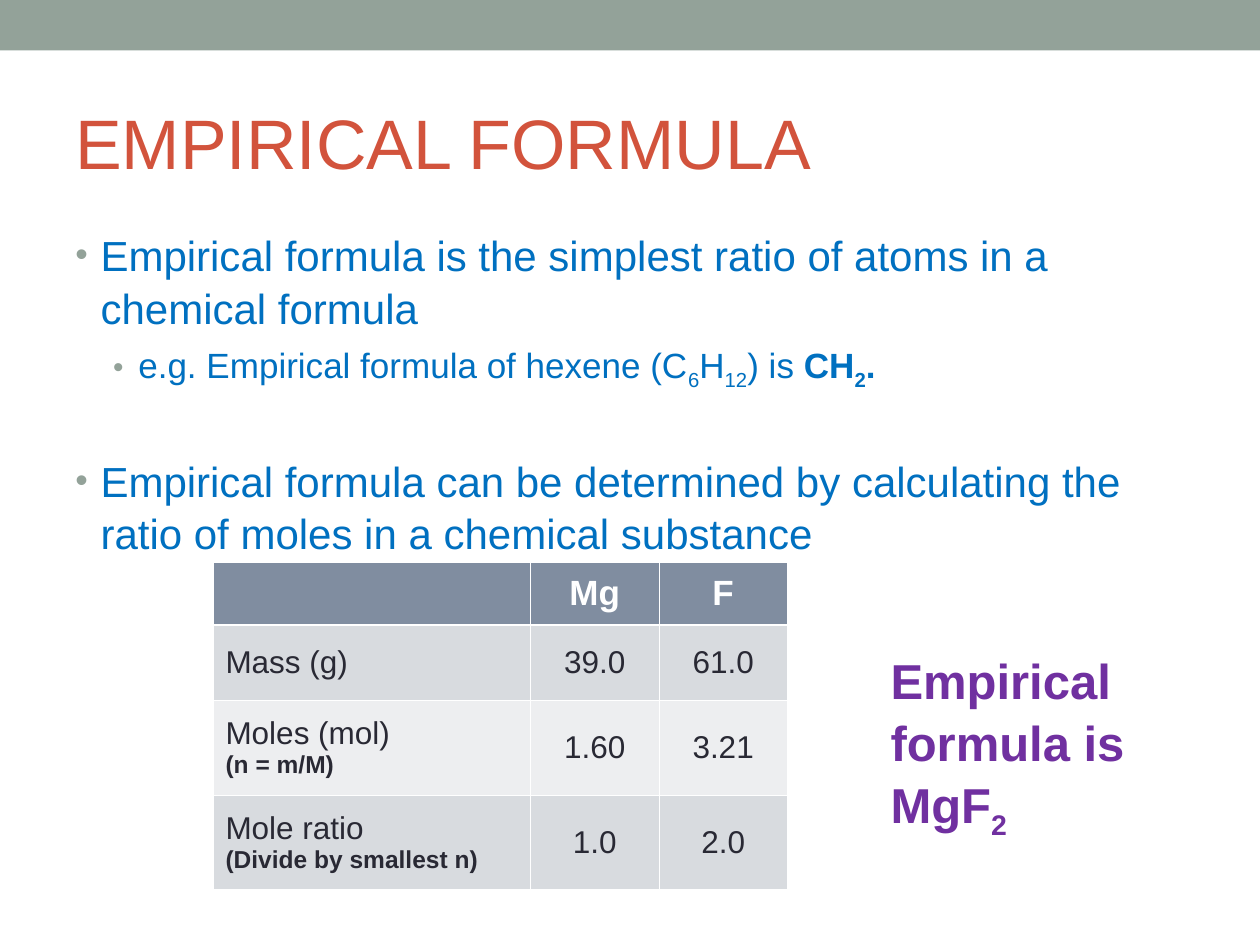
from lxml import etree
from pptx import Presentation, util as u
from pptx.dml.color import RGBColor
from pptx.enum import shapes, text
from pptx.oxml import ns

COLORS = {
    "band": "93A299", "title": "D2533C", "body": "0070C0", "answer": "7030A0",
    "header": "808DA0", "odd_row": "D8DBDF", "even_row": "EDEEF0",
    "cell": "292934", "white": "FFFFFF",
}
SUB = {"sub": True}
BOLD = {"bold": True}
BOLD_SUB = {"bold": True, "sub": True}


def rgb(name):
    return RGBColor.from_string(COLORS[name])


def add_xml(parent, tag, **attributes):
    return etree.SubElement(parent, ns.qn(tag), attributes)


class SlideBuilder:
    font = "Arial"

    def __init__(self, slide):
        self.slide = slide

    def band(self, left, top, width, height, color):
        bar = self.slide.shapes.add_shape(
            shapes.MSO_SHAPE.RECTANGLE, *map(u.Inches, (left, top, width, height)))
        bar.shadow.inherit = False
        bar.fill.solid()
        bar.fill.fore_color.rgb = rgb(color)
        bar.line.fill.background()

    def runs(self, paragraph, parts, size, color, **base):
        """Each part is a (wording, format) pair."""
        for wording, extra in parts:
            run = paragraph.add_run()
            run.text = wording
            style = {"name": self.font, "size": u.Pt(size), "bold": False, **base, **extra}
            if style.pop("sub", False):
                run._r.get_or_add_rPr().set("baseline", "-25000")
            for key, value in style.items():
                setattr(run.font, key, value)
            run.font.color.rgb = rgb(color)

    def bullet(self, paragraph, indent):
        props = paragraph._p.get_or_add_pPr()
        props.set("marL", str(u.Inches(indent)))
        props.set("indent", str(u.Inches(-0.2)))
        add_xml(add_xml(props, "a:buClr"), "a:srgbClr", val=COLORS["band"])
        add_xml(props, "a:buSzPct", val="85000")
        add_xml(props, "a:buFont", typeface=self.font)
        add_xml(props, "a:buChar", char="•")

    def text_box(self, left, top, width, height, anchor=text.MSO_ANCHOR.TOP):
        box = self.slide.shapes.add_textbox(*map(u.Inches, (left, top, width, height)))
        frame = box.text_frame
        frame.word_wrap = True
        frame.vertical_anchor = anchor
        return frame

    def bullet_list(self, frame, items):
        for i, (level, gap, size, parts) in enumerate(items):
            item = frame.add_paragraph() if i else frame.paragraphs[0]
            item.level = level
            item.line_spacing = 1.05
            item.space_before = u.Pt(gap)
            self.bullet(item, (0.2, 0.5)[level])
            self.runs(item, parts, size, "body")

    def borders(self, cell, **widths):
        props = cell._tc.get_or_add_tcPr()
        for i, side in enumerate("LRTB"):
            line = etree.Element(ns.qn(f"a:ln{side}"), w=str(u.Pt(widths.get(side, 0.45))))
            add_xml(add_xml(line, "a:solidFill"), "a:srgbClr", val=COLORS["white"])
            props.insert(i, line)

    def table(self, left, top, widths, heights, rows):
        grid = self.slide.shapes.add_table(
            len(rows), len(widths), u.Inches(left), u.Inches(top),
            u.Inches(sum(widths)), u.Inches(sum(heights))).table
        for column, width in zip(grid.columns, widths):
            column.width = u.Inches(width)
        for r, (height, row) in enumerate(zip(heights, rows)):
            grid.rows[r].height = u.Inches(height)
            fill = "header" if r == 0 else "odd_row" if r % 2 else "even_row"
            for c, lines in enumerate(row):
                cell = grid.cell(r, c)
                cell.vertical_anchor = text.MSO_ANCHOR.MIDDLE
                cell.fill.solid()
                cell.fill.fore_color.rgb = rgb(fill)
                # Heavier rule between the header and the first row
                self.borders(cell, **{0: {"B": 1.47}, 1: {"T": 1.47}}.get(r, {}))
                for i, wording in enumerate(lines):
                    line = cell.text_frame.add_paragraph() if i else cell.text_frame.paragraphs[0]
                    line.alignment = text.PP_ALIGN.CENTER if c else text.PP_ALIGN.LEFT
                    size = 20 if r == 0 else 14 if i else 18
                    self.runs(line, [(wording, {})], size,
                              "cell" if r else "white", bold=r == 0 or i > 0)


def main():
    deck = Presentation()
    deck.slide_width, deck.slide_height = u.Inches(10), u.Inches(7.5)
    page = SlideBuilder(deck.slides.add_slide(deck.slide_layouts[6]))

    # Top band and title
    page.band(0, 0, 10, 0.4, "band")
    title = page.text_box(0.5, 0.58, 9, 1.08, text.MSO_ANCHOR.MIDDLE)
    page.runs(title.paragraphs[0], [("EMPIRICAL FORMULA", {})], 40, "title")

    # Definition, example and method: level, space before, size, parts
    page.bullet_list(page.text_box(0.5, 1.75, 9, 5.33), [
        (0, 0, 24, [("Empirical formula is the simplest ratio of atoms in a "
                     "chemical formula", {})]),
        (1, 5, 20, [("e.g. Empirical formula of hexene (C", {}), ("6", SUB), ("H", {}),
                    ("12", SUB), (") is ", {}), ("CH", BOLD), ("2", BOLD_SUB), (".", BOLD)]),
        (0, 35, 24, [("Empirical formula can be determined by calculating the "
                      "ratio of moles in a chemical substance", {})]),
    ])

    # Worked example
    page.table(1.69, 4.46, (2.52, 1.02, 1.02), (0.5, 0.6, 0.75, 0.75), [
        ([], ["Mg"], ["F"]),
        (["Mass (g)"], ["39.0"], ["61.0"]),
        (["Moles (mol)", "(n = m/M)"], ["1.60"], ["3.21"]),
        (["Mole ratio", "(Divide by smallest n)"], ["1.0"], ["2.0"]),
    ])

    # Answer
    answer = page.text_box(6.97, 5.09, 2.2, 1.57).paragraphs[0]
    answer.line_spacing = 1.05
    page.runs(answer, [("Empirical formula is MgF", BOLD), ("2", BOLD_SUB)], 28, "answer")

    deck.save("out.pptx")


if __name__ == "__main__":
    main()
